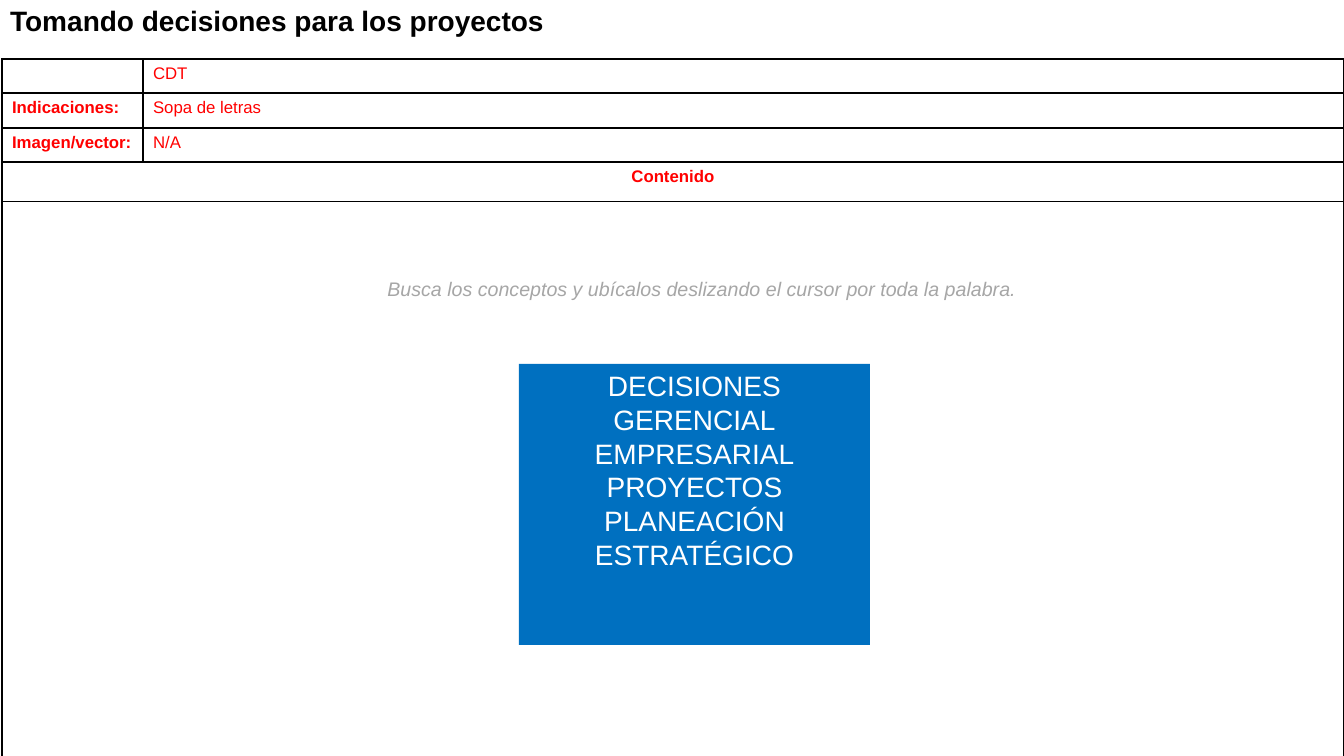
from dataclasses import dataclass

from lxml.etree import SubElement
from pptx import Presentation
from pptx.dml.color import RGBColor
from pptx.enum.shapes import MSO_SHAPE
from pptx.enum.text import MSO_ANCHOR, MSO_AUTO_SIZE, PP_ALIGN
from pptx.oxml.ns import qn
from pptx.util import Emu, Pt

SLIDE_WIDTH, SLIDE_HEIGHT = 1344, 756
SCALE = 12192000 / SLIDE_WIDTH


@dataclass(frozen=True)
class Theme:
    """Colours, font and type sizes of the slide."""
    font: str = "Arial"
    ink: str = "000000"
    paper: str = "FFFFFF"
    label: str = "FF0000"
    hint: str = "A6A6A6"
    panel: str = "0070C0"
    heading_size: int = 20
    hint_size: int = 14
    table_size: int = 12


THEME = Theme()
COLUMNS = [141, 1201]
ROWS = [34, 35, 34, 40, 613]
FIELDS = [("", "CDT"), ("Indicaciones:", "Sopa de letras"), ("Imagen/vector:", "N/A")]
WORDS = ["DECISIONES", "GERENCIAL", "EMPRESARIAL", "PROYECTOS", "PLANEACIÓN", "ESTRATÉGICO"]


def px(length):
    """Turn whole pixels into EMU."""
    return Emu(round(length * SCALE))


def write(frame, lines, size, color, bold=False, italic=False, align=PP_ALIGN.LEFT):
    """Fill a text frame with one paragraph per line."""
    frame.text = "\n".join(lines)
    for para in frame.paragraphs:
        para.alignment = align
        font = para.font
        font.name, font.size = THEME.font, Pt(size)
        font.bold, font.italic = bold, italic
        font.color.rgb = RGBColor.from_string(color)


def fit_frame(frame):
    """Anchor the text at the top and let its box grow without wrapping."""
    frame.word_wrap = False
    frame.auto_size = MSO_AUTO_SIZE.SHAPE_TO_FIT_TEXT
    frame.vertical_anchor = MSO_ANCHOR.TOP


def style_cell(cell):
    """Give a cell thin borders and a plain fill."""
    properties = cell._tc.get_or_add_tcPr()
    for side in ("lnL", "lnR", "lnT", "lnB"):
        line = SubElement(properties, qn(f"a:{side}"), w=str(Pt(1)))
        fill = SubElement(line, qn("a:solidFill"))
        SubElement(fill, qn("a:srgbClr"), val=THEME.ink)
    cell.fill.solid()
    cell.fill.fore_color.rgb = RGBColor.from_string(THEME.paper)


def write_cell(cell, text, bold=False, align=PP_ALIGN.LEFT):
    """Write a table cell, keeping its type size even when empty."""
    write(cell.text_frame, [text], THEME.table_size, THEME.label, bold, align=align)
    if not text:
        ending = cell.text_frame.paragraphs[0]._p.get_or_add_endParaRPr()
        ending.set("sz", str(THEME.table_size * 100))


def add_title(page, text):
    """Place the slide title."""
    title = page.shapes.title
    title.left, title.top, title.width, title.height = map(px, (0, -2, 560, 44))
    write(title.text_frame, [text], THEME.heading_size, THEME.ink, bold=True)
    fit_frame(title.text_frame)


def add_brief(page):
    """Add the table of instructions and its content area."""
    frame = page.shapes.add_table(
        len(ROWS), len(COLUMNS), px(2), px(59), px(sum(COLUMNS)), px(sum(ROWS)))
    table = frame.table
    for column, width in zip(table.columns, COLUMNS):
        column.width = px(width)
    for row, height in zip(table.rows, ROWS):
        row.height = px(height)
    for cell in table.iter_cells():
        style_cell(cell)
    for index, (label, value) in enumerate(FIELDS):
        write_cell(table.cell(index, 0), label, bold=True)
        write_cell(table.cell(index, 1), value)
    for index in range(len(FIELDS), len(ROWS)):
        table.cell(index, 0).merge(table.cell(index, 1))
    write_cell(table.cell(len(FIELDS), 0), "Contenido", bold=True, align=PP_ALIGN.CENTER)


def add_word_panel(page, words):
    """Add the coloured panel that lists the hidden words."""
    panel = page.shapes.add_shape(MSO_SHAPE.RECTANGLE, px(519), px(364), px(351), px(281))
    panel.shadow.inherit = False
    panel.fill.solid()
    panel.fill.fore_color.rgb = RGBColor.from_string(THEME.panel)
    panel.line.fill.background()
    panel.text_frame.vertical_anchor = MSO_ANCHOR.TOP
    write(panel.text_frame, words, THEME.heading_size, THEME.paper, align=PP_ALIGN.CENTER)


def add_hint(page, text):
    """Add the line that explains the game."""
    box = page.shapes.add_textbox(px(376), px(272), px(652), px(34))
    write(box.text_frame, [text], THEME.hint_size, THEME.hint,
          italic=True, align=PP_ALIGN.CENTER)
    fit_frame(box.text_frame)


def main():
    """Build the slide and save the deck."""
    deck = Presentation()
    deck.slide_width, deck.slide_height = px(SLIDE_WIDTH), px(SLIDE_HEIGHT)
    page = deck.slides.add_slide(deck.slide_layouts[5])
    add_title(page, "Tomando decisiones para los proyectos")
    add_brief(page)
    add_word_panel(page, WORDS)
    add_hint(page, "Busca los conceptos y ubícalos deslizando el cursor por toda la palabra.")
    deck.save("out.pptx")


if __name__ == "__main__":
    main()
